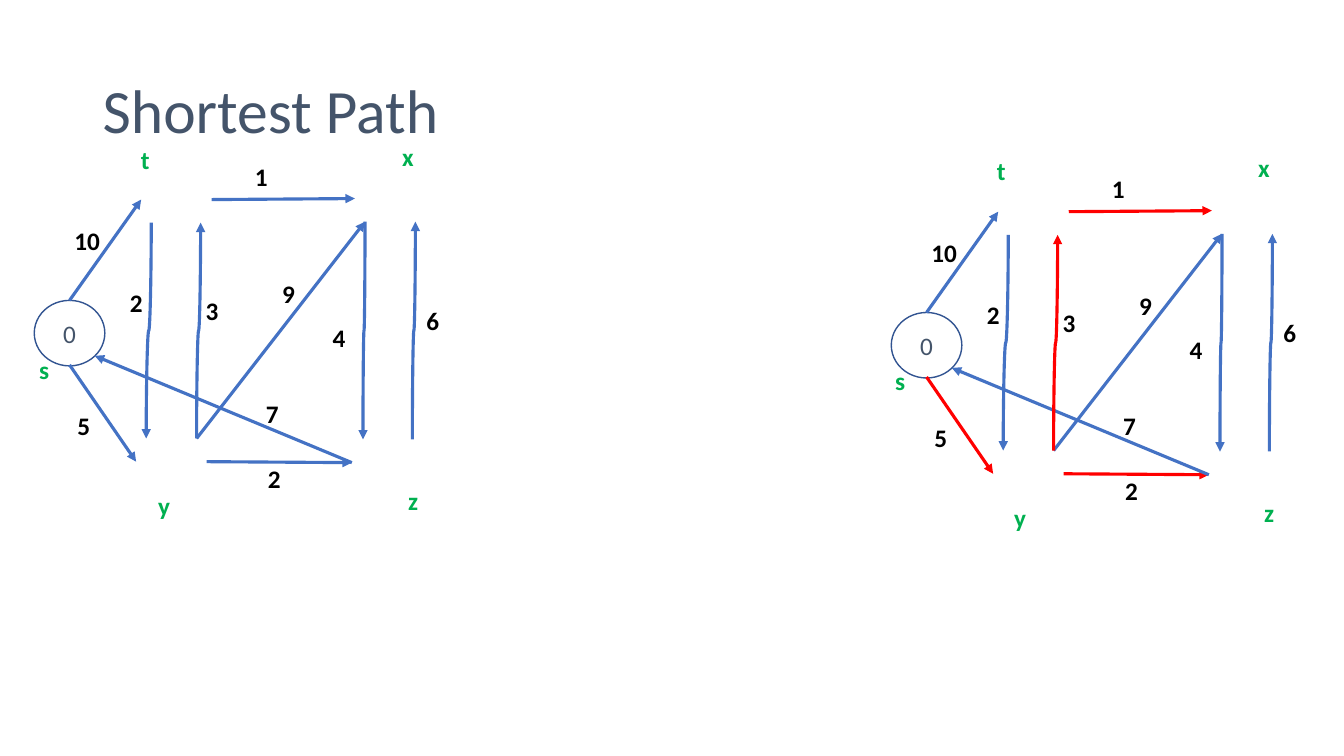
import pptx
import pptx.util
import pptx.dml.color
import pptx.enum.shapes
import pptx.enum.text
import pptx.oxml
import pptx.oxml.ns

RGB = pptx.dml.color.RGBColor
CONNECTOR = pptx.enum.shapes.MSO_CONNECTOR
ANCHOR = pptx.enum.text.MSO_ANCHOR
ALIGN = pptx.enum.text.PP_ALIGN
FIT = pptx.enum.text.MSO_AUTO_SIZE

SLATE = RGB(0x44, 0x54, 0x6A)
BLUE = RGB(0x44, 0x72, 0xC4)
NAVY = RGB(0x32, 0x54, 0x91)
RED = RGB(0xFF, 0x00, 0x00)
GREEN = RGB(0x00, 0xB0, 0x50)
BLACK = RGB(0x00, 0x00, 0x00)
PX = pptx.util.Inches(1) // 100

SLIDE = (1333, 750)
TITLE = ("Shortest Path", (92, 40, 1150, 145))
SOURCE = ("0", (34, 298, 70, 65))
LABEL = (60, 40)
STRAIGHT = [
    ("1", (243, 155), (210, 198), (352, 197)),
    ("2", (256, 455), (205, 458), (349, 459)),
    ("7", (254, 390), (349, 459), (94, 353)),
    ("9", (270, 271), (195, 435), (362, 220)),
    ("10", (64, 219), (69, 298), (140, 198)),
    ("5", (67, 402), (69, 362), (135, 458)),
]
CURVED = [
    ("2", (119, 280), (150, 221), (145, 435)),
    ("3", (194, 288), (195, 435), (199, 221)),
    ("4", (320, 315), (362, 220), (360, 436)),
    ("6", (413, 298), (409, 436), (412, 220)),
]
VERTICES = [
    ("s", (29, 347)),
    ("t", (130, 138)),
    ("x", (389, 135)),
    ("z", (395, 477)),
    ("y", (147, 482)),
]
GRAPHS = [
    {"shift": (0, 0), "vertex_shift": (0, 0), "shortest": ()},
    {"shift": (850, 12), "vertex_shift": (849, 11),
     "shortest": (STRAIGHT[0], STRAIGHT[1], STRAIGHT[5], CURVED[1])},
]


def emu(*lengths):
    return [round(length * PX) for length in lengths]


def moved(point, shift):
    return point[0] + shift[0], point[1] + shift[1]


def write(frame, text, frame_format, paragraph_format, font_format, color):
    paragraph = frame.paragraphs[0]
    run = paragraph.add_run()
    run.text = text
    for target, values in ((frame, frame_format), (paragraph, paragraph_format),
                           (run.font, {"name": "Calibri", **font_format})):
        for name, value in values.items():
            setattr(target, name, value)
    run.font.color.rgb = color


def add_label(slide, text, corner, color):
    box = slide.shapes.add_textbox(*emu(*corner, *LABEL))
    write(box.text_frame, text, {"word_wrap": True, "auto_size": FIT.SHAPE_TO_FIT_TEXT},
          {}, {"size": pptx.util.Pt(18), "bold": True}, color)


def add_arrow(slide, start, end, color, curved):
    kind = CONNECTOR.STRAIGHT
    if curved:
        kind = CONNECTOR.CURVE
        cx, cy = (start[0] + end[0]) / 2, (start[1] + end[1]) / 2
        start, end = [(cx + y - cy, cy + cx - x) for x, y in (start, end)]
    arrow = slide.shapes.add_connector(kind, *emu(*start, *end))
    arrow.line.color.rgb = color
    arrow.line.width = pptx.util.Pt(2.25)
    properties = arrow.element.spPr
    if curved:
        properties.find(pptx.oxml.ns.qn("a:xfrm")).set("rot", "5400000")
    line = properties.find(pptx.oxml.ns.qn("a:ln"))
    namespace = pptx.oxml.ns.nsdecls("a")
    line.append(pptx.oxml.parse_xml(f'<a:tailEnd {namespace} type="triangle"/>'))
    properties.append(pptx.oxml.parse_xml(f"<a:effectLst {namespace}/>"))


def add_source(slide, shift):
    text, (left, top, width, height) = SOURCE
    circle = slide.shapes.add_shape(pptx.enum.shapes.MSO_SHAPE.OVAL,
                                    *emu(*moved((left, top), shift), width, height))
    circle.shadow.inherit = False
    circle.fill.background()
    circle.line.color.rgb = NAVY
    circle.line.width = pptx.util.Pt(1)
    write(circle.text_frame, text, {"vertical_anchor": ANCHOR.MIDDLE},
          {"alignment": ALIGN.CENTER}, {"size": pptx.util.Pt(18)}, SLATE)


def add_graph(slide, shift, vertex_shift, shortest):
    add_source(slide, shift)
    for edges, curved in ((STRAIGHT, False), (CURVED, True)):
        for edge in edges:
            weight, corner, start, end = edge
            add_arrow(slide, moved(start, shift), moved(end, shift),
                      RED if edge in shortest else BLUE, curved)
            add_label(slide, weight, moved(corner, shift), BLACK)
    for vertex, corner in VERTICES:
        add_label(slide, vertex, moved(corner, vertex_shift), GREEN)


def main():
    deck = pptx.Presentation()
    deck.slide_width, deck.slide_height = emu(*SLIDE)
    slide = deck.slides.add_slide(deck.slide_layouts[6])
    heading, area = TITLE
    title = slide.shapes.add_textbox(*emu(*area))
    write(title.text_frame, heading,
          {"word_wrap": True, "vertical_anchor": ANCHOR.MIDDLE},
          {"line_spacing": 0.9}, {"size": pptx.util.Pt(44)}, SLATE)
    for graph in GRAPHS:
        add_graph(slide, **graph)
    deck.save("out.pptx")


if __name__ == "__main__":
    main()
